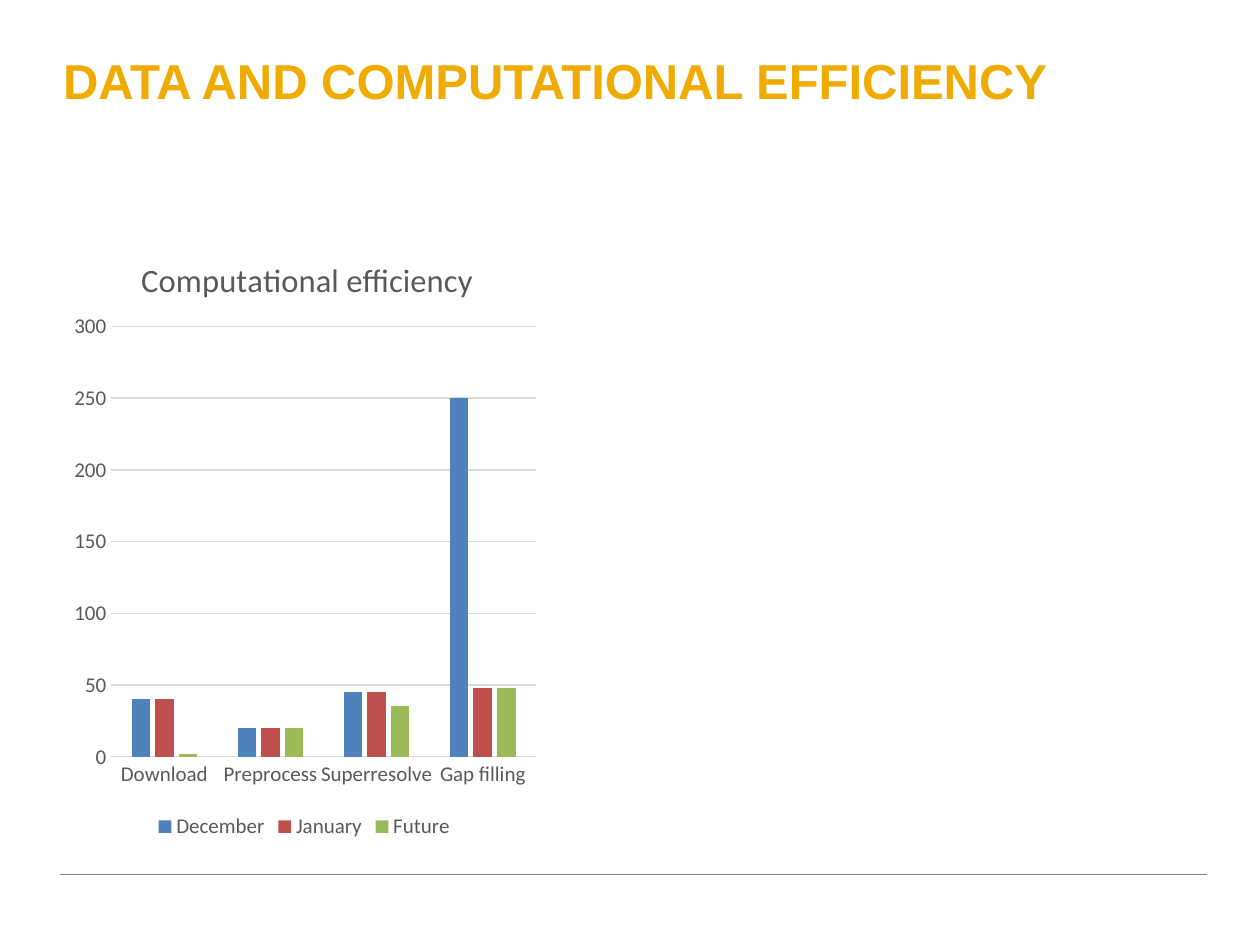
from lxml import etree
from pptx import Presentation
from pptx.chart.data import CategoryChartData
from pptx.dml.color import RGBColor
from pptx.enum.chart import XL_CHART_TYPE as ChartType
from pptx.enum.chart import XL_LEGEND_POSITION as LegendPosition
from pptx.enum.chart import XL_TICK_MARK as TickMark
from pptx.enum.shapes import MSO_CONNECTOR as Connector
from pptx.enum.text import MSO_ANCHOR as Anchor
from pptx.enum.text import MSO_AUTO_SIZE as AutoSize
from pptx.enum.text import PP_ALIGN as Align
from pptx.oxml.ns import qn
from pptx.util import Inches, Pt

COLORS = {
    "title": "F0AB00",
    "rule": "808080",
    "chart_text": "595959",
    "grid": "D9D9D9",
    "December": "4F81BD",
    "January": "C0504D",
    "Future": "9BBB59",
}
STAGES = ["Download", "Preprocess", "Superresolve", "Gap filling"]
EFFICIENCY = {
    "December": [40, 20, 45, 250],
    "January": [40, 20, 45, 48],
    "Future": [2, 20, 35, 48],
}


def color(name):
    return RGBColor.from_string(COLORS[name])


def style_font(font, name, size, color_name, bold=False):
    font.name = name
    font.size = Pt(size)
    font.bold = bold
    font.color.rgb = color(color_name)


def style_line(line, color_name, width):
    line.color.rgb = color(color_name)
    line.width = Pt(width)


def add_rule(slide, left, right, top):
    rule = slide.shapes.add_connector(
        Connector.STRAIGHT, Inches(left), Inches(top), Inches(right), Inches(top))
    style_line(rule.line, "rule", 0.25)
    etree.SubElement(rule._element.spPr, qn("a:effectLst"))


def fill_title(slide, text):
    title = slide.shapes.title
    title.left, title.top = Inches(0.5), Inches(0.3)
    title.width, title.height = Inches(9), Inches(0.87)
    frame = title.text_frame
    frame.auto_size = AutoSize.NONE
    frame.word_wrap = True
    frame.vertical_anchor = Anchor.TOP
    frame.margin_left = frame.margin_right = 0
    frame.margin_top, frame.margin_bottom = Inches(0.1), Inches(0.05)
    paragraph = frame.paragraphs[0]
    paragraph.alignment = Align.LEFT
    run = paragraph.add_run()
    run.text = text
    style_font(run.font, "Arial", 28, "title", bold=True)


def set_layout(element, **settings):
    layout = element.find(qn("c:layout"))
    if layout is None:
        layout = etree.Element(qn("c:layout"))
        text = element.find(qn("c:tx"))
        if text is None:
            element.insert(0, layout)
        else:
            text.addnext(layout)
    for child in list(layout):
        layout.remove(child)
    manual = etree.SubElement(layout, qn("c:manualLayout"))
    for tag, value in settings.items():
        etree.SubElement(manual, qn(f"c:{tag}")).set("val", str(value))


def style_axes(chart):
    for axis in (chart.category_axis, chart.value_axis):
        axis.major_tick_mark = axis.minor_tick_mark = TickMark.NONE
        style_font(axis.tick_labels.font, "Calibri", 12, "chart_text")
    style_line(chart.category_axis.format.line, "grid", 0.75)
    value_axis = chart.value_axis
    value_axis.minimum_scale, value_axis.maximum_scale = 0, 300
    value_axis.major_unit = 50
    value_axis.format.line.fill.background()
    value_axis.has_major_gridlines = True
    style_line(value_axis.major_gridlines.format.line, "grid", 0.75)


def add_column_chart(slide, heading, categories, series_values):
    data = CategoryChartData()
    data.categories = categories
    for name, values in series_values.items():
        data.add_series(name, values)
    chart = slide.shapes.add_chart(
        ChartType.COLUMN_CLUSTERED, Inches(0.5), Inches(1.75),
        Inches(3.83), Inches(4.95), data).chart
    chart.font.name = "Calibri"
    chart.font.size = Pt(10)

    chart.has_title = True
    run = chart.chart_title.text_frame.paragraphs[0].add_run()
    run.text = heading
    style_font(run.font, "Calibri", 18.6, "chart_text")
    chart.chart_title.include_in_layout = False
    set_layout(chart.chart_title._element, xMode="edge", yMode="edge", x=0.15, y=0.05)

    chart.has_legend = True
    chart.legend.position = LegendPosition.BOTTOM
    chart.legend.include_in_layout = False
    style_font(chart.legend.font, "Calibri", 12, "chart_text")

    style_axes(chart)
    plot = chart.plots[0]
    plot.vary_by_categories = False
    plot.gap_width = 219
    plot.overlap = -27
    for series in plot.series:
        series.format.fill.solid()
        series.format.fill.fore_color.rgb = color(series.name)
    plot_area = chart._chartSpace.chart.plotArea
    set_layout(plot_area, layoutTarget="inner", xMode="edge", yMode="edge",
               x=0.1, y=0.17, w=0.88, h=0.69)


def main():
    presentation = Presentation()
    presentation.slide_width, presentation.slide_height = Inches(10), Inches(7.5)
    slide = presentation.slides.add_slide(presentation.slide_layouts[5])
    add_rule(slide, 0.48, 9.58, 6.94)
    fill_title(slide, "DATA AND COMPUTATIONAL EFFICIENCY")
    add_column_chart(slide, "Computational efficiency", STAGES, EFFICIENCY)
    presentation.save("out.pptx")


if __name__ == "__main__":
    main()
